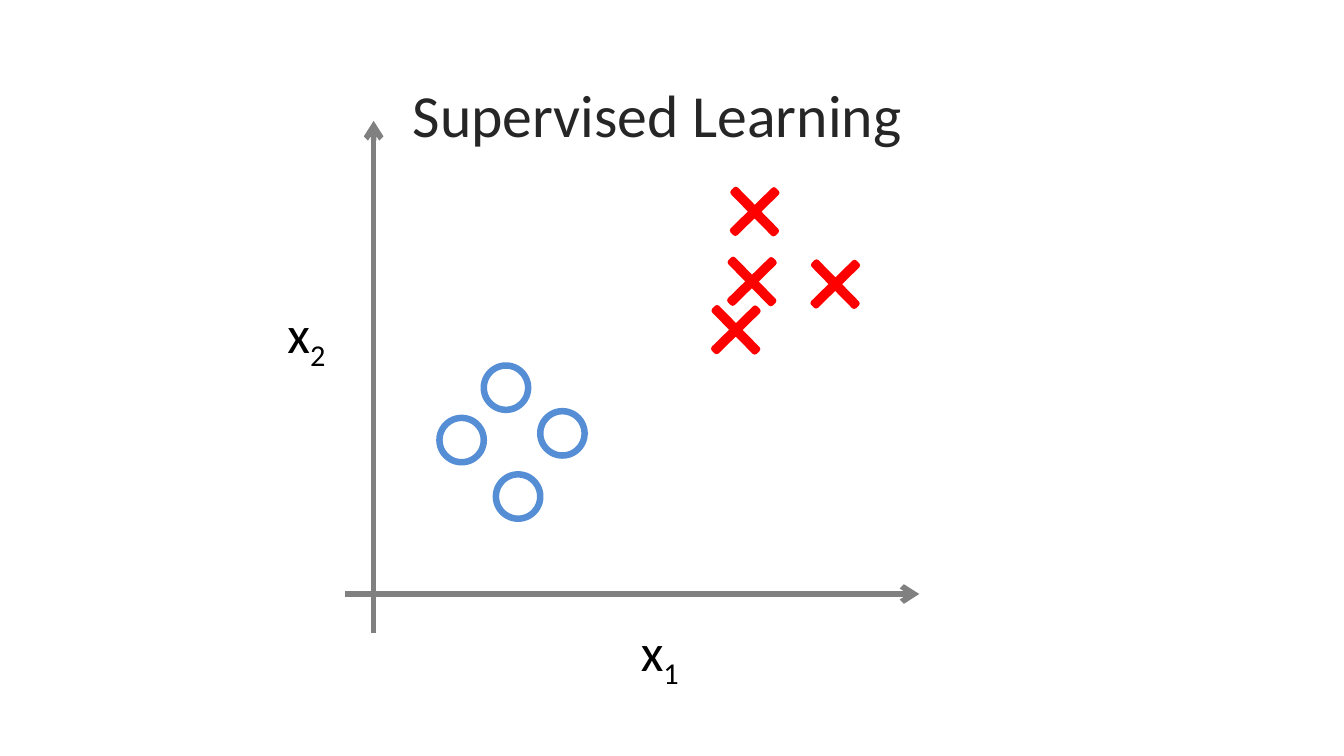
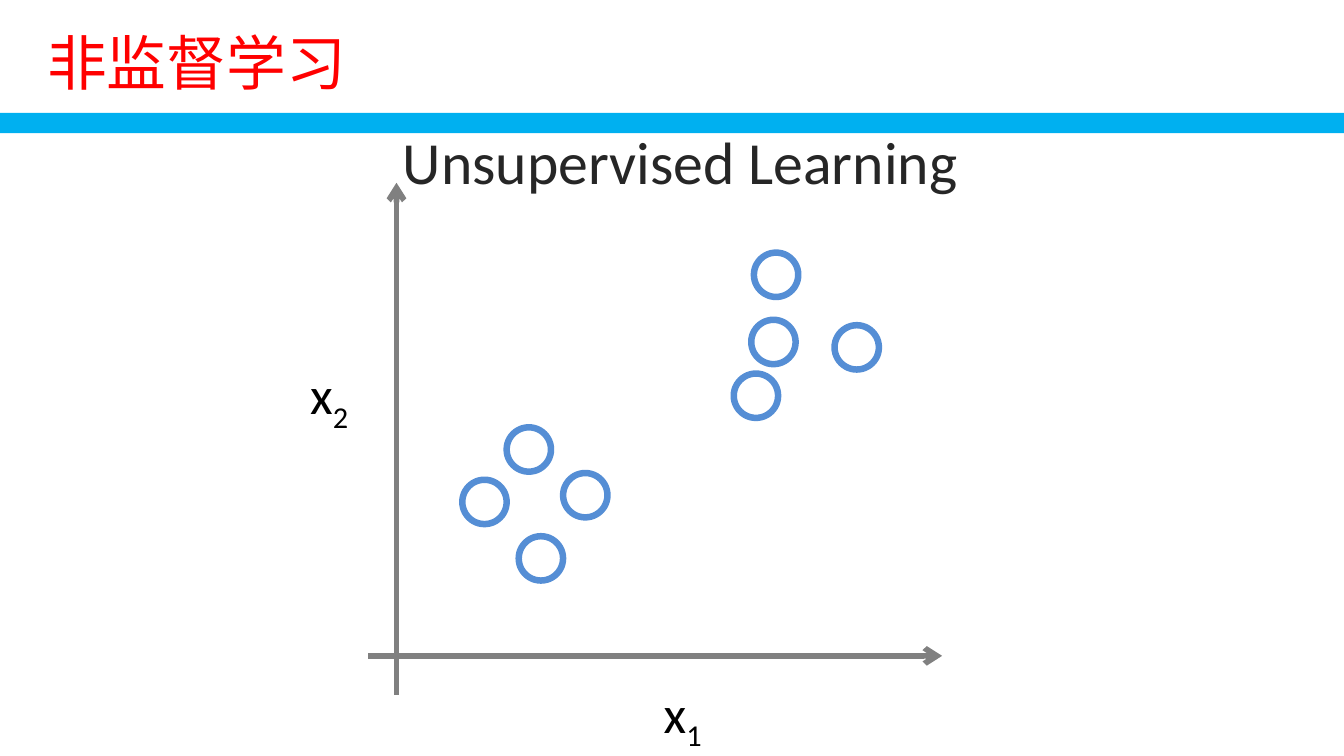
from typing import NamedTuple

from lxml import etree
from pptx import Presentation
from pptx.dml.color import RGBColor
from pptx.enum.shapes import MSO_CONNECTOR, MSO_SHAPE
from pptx.enum.text import MSO_ANCHOR, MSO_AUTO_SIZE, PP_ALIGN
from pptx.oxml.ns import qn
from pptx.util import Inches, Pt

OVAL, CROSS, RECT = MSO_SHAPE.OVAL, MSO_SHAPE.CROSS, MSO_SHAPE.RECTANGLE
STRAIGHT = MSO_CONNECTOR.STRAIGHT
TOP, LEFT, NO_FIT = MSO_ANCHOR.TOP, PP_ALIGN.LEFT, MSO_AUTO_SIZE.NONE

FONT = "Calibri"
BLUE, RED, GRAY, SKY = "558ED5", "FF0000", "808080", "00B0F0"
DARK, BLACK = "262626", "000000"


class Box(NamedTuple):
    left: float
    top: float
    width: float
    height: float


class Spot(NamedTuple):
    x: float
    y: float


class Mark(NamedTuple):
    kind: MSO_SHAPE
    size: float
    line: str
    weight: float
    fill: str | None = None
    turn: float = 0


RING = Mark(OVAL, 0.33, BLUE, 3.5)
EX = Mark(CROSS, 0.43, RED, 3, BLACK, 45.6)

# Marks are placed by their top left corner, measured from the axes' crossing
LOW = [Spot(0.49, -1.31), Spot(1.24, -1.36), Spot(0.91, -0.89), Spot(0.82, -1.7)]
HIGH_EX = [Spot(2.48, -2.18), Spot(2.62, -3.06), Spot(3.22, -2.52), Spot(2.6, -2.54)]
HIGH_RING = [Spot(2.51, -2.1), Spot(2.64, -2.5), Spot(3.26, -2.46), Spot(2.66, -3)]
AXES = [(Spot(0, 0.29), Spot(0, -3.52)), (Spot(-0.21, 0), Spot(4.06, 0))]
NAMES = [("1", Spot(1.89, 0.14)), ("2", Spot(-0.74, -2.23))]


def color(code: str) -> RGBColor:
    return RGBColor.from_string(code)


def place(shape, box: Box) -> None:
    shape.left, shape.top, shape.width, shape.height = map(Inches, box)


def set_up(shape, wrap: bool):
    """Prepare a text frame and give back its first paragraph."""
    frame = shape.text_frame
    frame.auto_size = NO_FIT
    frame.word_wrap = wrap
    frame.vertical_anchor = TOP
    para = frame.paragraphs[0]
    para.alignment = LEFT
    return para


def add_run(para, text: str, size: float, tint: str, base: int = 0) -> None:
    run = para.add_run()
    run.text = text
    run.font.name = FONT
    run.font.size = Pt(size)
    run.font.color.rgb = color(tint)
    if base:
        run._r.get_or_add_rPr().set("baseline", str(base * 1000))


def add_title(slide, text: str, box: Box, tint: str, wrap: bool = False) -> None:
    title = slide.shapes.title
    place(title, box)
    add_run(set_up(title, wrap), text, 32, tint)


def add_text(slide, box: Box):
    return set_up(slide.shapes.add_textbox(*map(Inches, box)), False)


def add_mark(slide, mark: Mark, x: float, y: float) -> None:
    box = Box(x, y, mark.size, mark.size)
    shape = slide.shapes.add_shape(mark.kind, *map(Inches, box))
    shape.shadow.inherit = False
    shape.rotation = mark.turn
    shape.line.color.rgb = color(mark.line)
    shape.line.width = Pt(mark.weight)
    if mark.fill:
        shape.fill.solid()
        shape.fill.fore_color.rgb = color(mark.fill)
    else:
        shape.fill.background()
    if mark.kind == CROSS:
        shape.adjustments[0] = 0.466


def add_axis(slide, start: Spot, end: Spot) -> None:
    axis = slide.shapes.add_connector(STRAIGHT, *map(Inches, (*start, *end)))
    axis.line.color.rgb = color(GRAY)
    axis.line.width = Pt(3)
    etree.SubElement(axis.line._get_or_add_ln(), qn("a:tailEnd"), type="arrow")
    etree.SubElement(axis._element.spPr, qn("a:effectLst"))


def add_band(slide) -> None:
    band = slide.shapes.add_shape(RECT, *map(Inches, Box(0, 0.84, 10, 0.15)))
    band.shadow.inherit = False
    band.fill.solid()
    band.fill.fore_color.rgb = color(SKY)
    band.line.fill.background()


def add_plot(slide, zero: Spot, groups: list[tuple[Mark, list[Spot]]]) -> None:
    """Draw marks, axis names and axes around the crossing point."""
    def move(spot: Spot) -> Spot:
        return Spot(zero.x + spot.x, zero.y + spot.y)

    for mark, spots in groups:
        for spot in spots:
            add_mark(slide, mark, *move(spot))
    for index, spot in NAMES:
        para = add_text(slide, Box(*move(spot), 0.51, 0.57))
        add_run(para, "x", 28, BLACK)
        add_run(para, index, 28, BLACK, -25)
    for start, end in AXES:
        add_axis(slide, move(start), move(end))


def main() -> None:
    deck = Presentation()
    deck.slide_width = Inches(10)
    deck.slide_height = Inches(10) * 9 // 16
    layout = deck.slide_layouts[5]

    # Supervised: two kinds of marks
    slide = deck.slides.add_slide(layout)
    add_title(slide, "Supervised Learning", Box(2.97, 0.53, 3.88, 0.64), DARK)
    add_plot(slide, Spot(2.78, 4.42), [(RING, LOW), (EX, HIGH_EX)])

    # Unsupervised: one kind of mark
    slide = deck.slides.add_slide(layout)
    add_title(slide, "非监督学习", Box(0.25, 0.14, 8.42, 0.64), RED, True)
    add_plot(slide, Spot(2.95, 4.88), [(RING, LOW + HIGH_RING)])
    para = add_text(slide, Box(2.9, 0.88, 4.37, 0.64))
    add_run(para, "Unsupervised Learning", 32, DARK)
    add_band(slide)

    deck.save("out.pptx")


if __name__ == "__main__":
    main()
